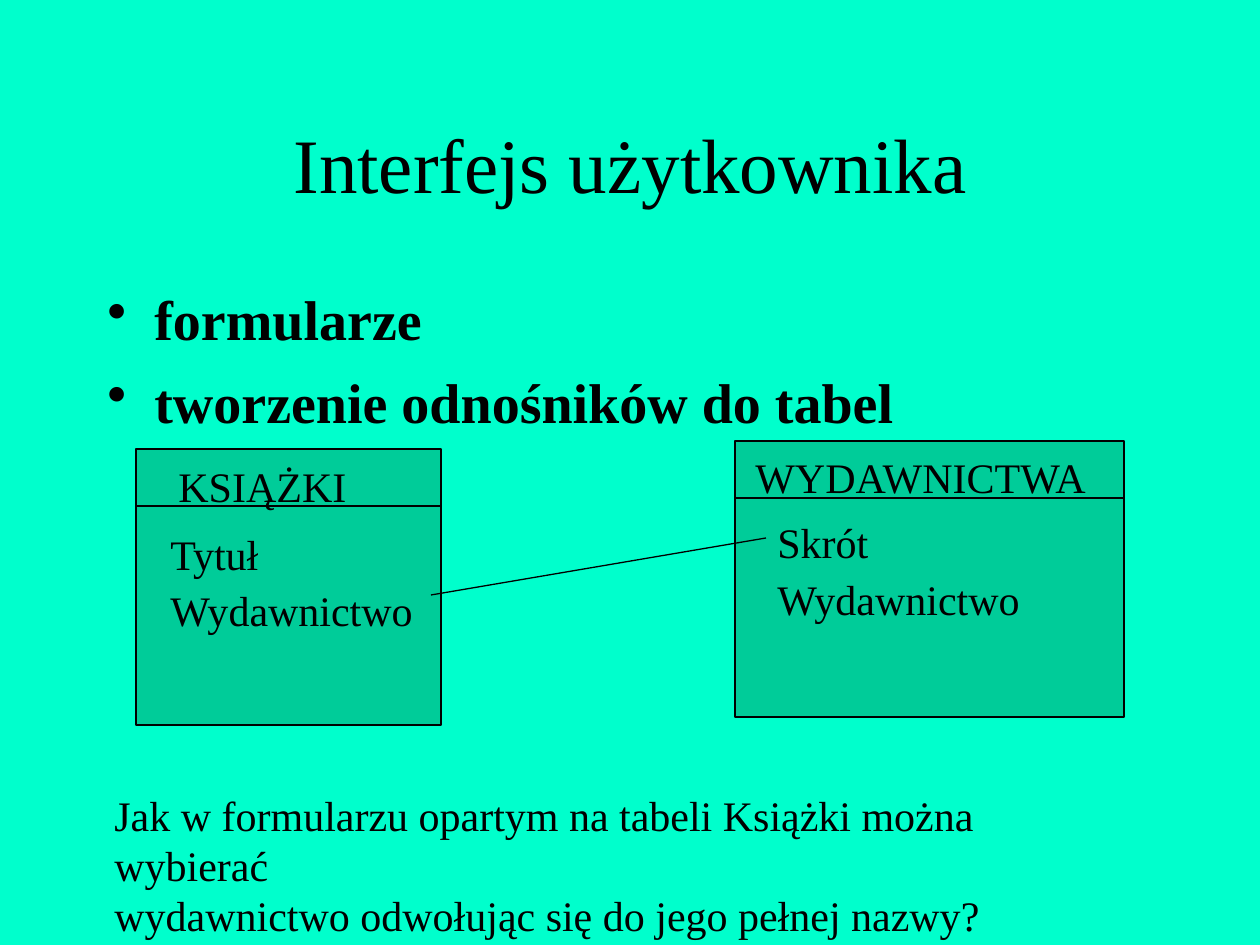
from lxml.etree import SubElement
from pptx import Presentation
from pptx.dml.color import RGBColor
from pptx.enum.shapes import MSO_CONNECTOR, MSO_SHAPE
from pptx.enum.text import MSO_ANCHOR, PP_ALIGN
from pptx.oxml.ns import qn
from pptx.util import Pt

SCALE = 914400 / 126
COLORS = {"back": "00FFCC", "box": "00CC99", "ink": "000000"}
FONT = "Times New Roman"


def emu(*px):
    return [round(n * SCALE) for n in px]


def color(name):
    return RGBColor.from_string(COLORS[name])


def write(frame, text, size=24, bold=False, align=PP_ALIGN.LEFT,
          anchor=MSO_ANCHOR.TOP, wrap=False, bullet=False, gap=0):
    """Fill a frame; a list gives paragraphs, a newline breaks a line."""
    frame.word_wrap = wrap
    frame.vertical_anchor = anchor
    for i, line in enumerate([text] if isinstance(text, str) else text):
        para = frame.add_paragraph() if i else frame.paragraphs[0]
        para.text = line
        para.alignment = align
        if i:
            para.space_before = Pt(gap)
        if bullet:
            props = para._p.get_or_add_pPr()
            indent = emu(47)[0]
            props.set("marL", str(indent))
            props.set("indent", str(-indent))
            SubElement(props, qn("a:buChar")).set("char", "•")
        for run in para.runs:
            font = run.font
            font.name, font.size, font.bold = FONT, Pt(size), bold
            font.color.rgb = color("ink")


class Board:
    def __init__(self, deck):
        self.slide = deck.slides.add_slide(deck.slide_layouts[5])
        self.shapes = self.slide.shapes
        fill = self.slide.background.fill
        fill.solid()
        fill.fore_color.rgb = color("back")

    def title(self, text, *area):
        shape = self.shapes.title
        shape.left, shape.top, shape.width, shape.height = emu(*area)
        write(shape.text_frame, text, size=44, align=PP_ALIGN.CENTER,
              anchor=MSO_ANCHOR.MIDDLE, wrap=True)

    def text(self, text, *area, **form):
        write(self.shapes.add_textbox(*emu(*area)).text_frame, text, **form)

    def stroke(self, line):
        line.color.rgb = color("ink")
        line.width = Pt(0.75)

    def box(self, *area):
        shape = self.shapes.add_shape(MSO_SHAPE.RECTANGLE, *emu(*area))
        shape.shadow.inherit = False
        shape.fill.solid()
        shape.fill.fore_color.rgb = color("box")
        self.stroke(shape.line)

    def line(self, *ends):
        link = self.shapes.add_connector(MSO_CONNECTOR.STRAIGHT, *emu(*ends))
        SubElement(link._element.spPr, qn("a:effectLst"))
        self.stroke(link.line)

    def table(self, left, top, width, head, fields):
        """Draw a database table: box, rule, heading and field names."""
        self.box(left, top, width, 276)
        self.line(left, top + 57, left + width, top + 57)
        for label in [head, *fields]:
            self.text(*label)


def main():
    deck = Presentation()
    deck.slide_width, deck.slide_height = emu(1260, 945)
    board = Board(deck)

    # Title and bullets
    board.title("Interfejs użytkownika", 95, 84, 1071, 158)
    board.text(["formularze", "tworzenie odnośników do tabel"],
               95, 278, 1071, 168, size=32, bold=True, wrap=True,
               bullet=True, gap=9)

    # Two linked tables
    board.table(136, 449, 305, ("KSIĄŻKI", 166, 454, 193, 63),
                [("Tytuł", 158, 522, 116, 63),
                 ("Wydawnictwo", 158, 578, 270, 63)])
    board.table(735, 441, 389, ("WYDAWNICTWA", 743, 445, 363, 63),
                [("Skrót", 765, 510, 116, 63),
                 ("Wydawnictwo", 765, 567, 270, 63)])
    board.line(431, 595, 766, 538)

    # Closing question
    board.text("Jak w formularzu opartym na tabeli Książki można wybierać\n"
               "wydawnictwo odwołując się do jego pełnej nazwy?",
               102, 783, 1048, 113)

    deck.save("out.pptx")


if __name__ == "__main__":
    main()
